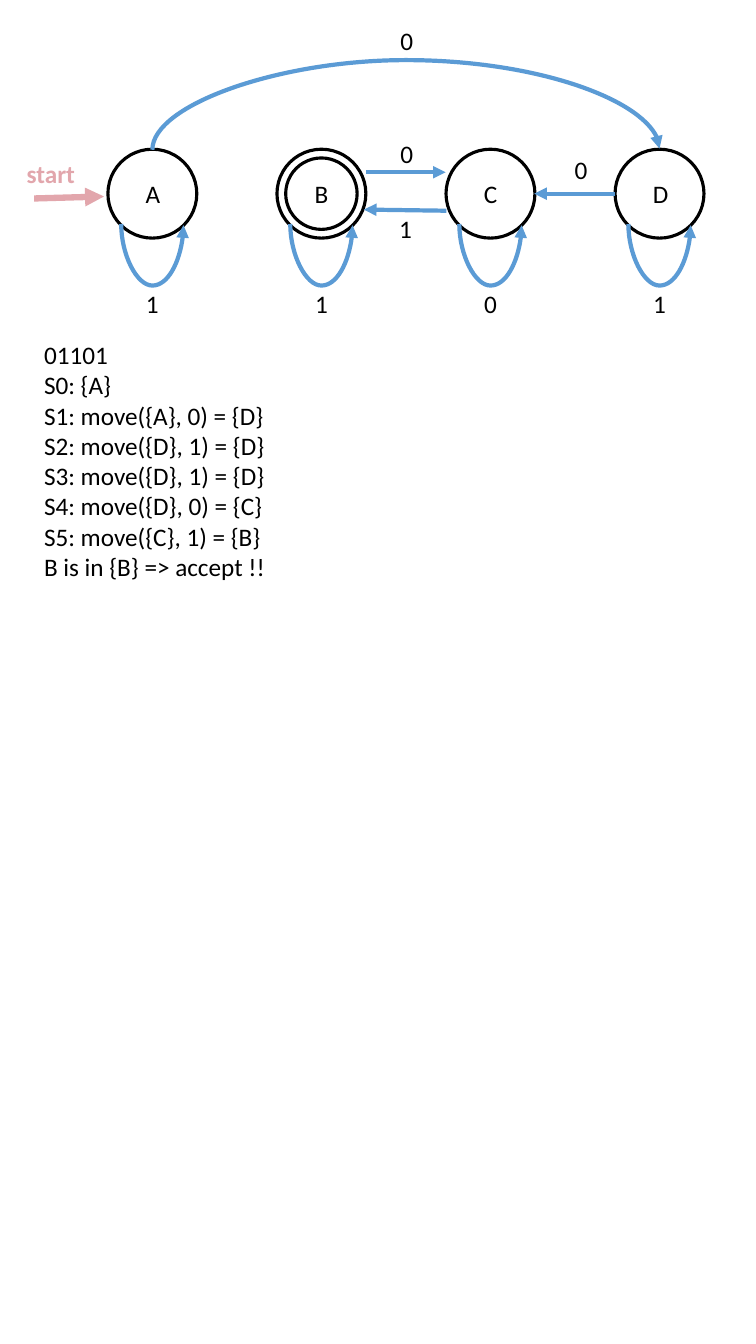
"""Draw a four-state automaton and the trace of one input word."""
from dataclasses import dataclass
from typing import NamedTuple

from pptx import Presentation
from pptx import util as u
from pptx.dml import color
from pptx.enum import shapes, text
from pptx.oxml import ns, xmlchemy

Cm = u.Cm


@dataclass(frozen=True)
class Theme:
    """Colours, font and line weights of the slide."""
    ink: color.RGBColor = color.RGBColor(0, 0, 0)
    edge: color.RGBColor = color.RGBColor(0x5B, 0x9B, 0xD5)
    start: color.RGBColor = color.RGBColor(0xE2, 0xA6, 0xAC)
    font: str = "Calibri"
    size: u.Pt = u.Pt(18)
    ring: u.Pt = u.Pt(2.25)
    thin: u.Pt = u.Pt(3)
    thick: u.Pt = u.Pt(4.5)


class State(NamedTuple):
    """A state, the symbol of its loop, and whether it accepts."""
    name: str
    loop: str
    final: bool = False


class Edge(NamedTuple):
    """A straight move: its ends and its label's centre, in cm."""
    sign: str
    tail: tuple[float, float]
    head: tuple[float, float]
    label: tuple[float, float]


class Bow(NamedTuple):
    """The turn and flips that set which way a curve bulges."""
    turn: int
    flips: tuple[str, ...]


THEME = Theme()
UP = Bow(90, ("flipH", "flipV"))
DOWN = Bow(270, ("flipH",))

FIRST, PITCH, MID = 3.84, 4.26, 4.88   # state centres
OUTER, INNER = 2.24, 1.8               # ring widths
SPAN, DEPTH, LOOP_Y = 1.57, 1.55, 5.66
ARC_DEPTH = 2.26
RISE = 0.03                            # height gap between a curve's ends

STATES = [State("A", "1"), State("B", "1", True), State("C", "0"), State("D", "1")]
EDGES = [
    Edge("0", (9.22, 4.34), (11.23, 4.34), (10.25, 3.86)),
    Edge("1", (11.25, 5.31), (9.17, 5.28), (10.22, 5.77)),
    Edge("0", (15.49, MID), (13.46, MID), (14.64, 4.27)),
]
TRACE = [
    "01101",
    "S0: {A}",
    "S1: move({A}, 0) = {D}",
    "S2: move({D}, 1) = {D}",
    "S3: move({D}, 1) = {D}",
    "S4: move({D}, 0) = {C}",
    "S5: move({C}, 1) = {B}",
    "B is in {B} => accept !!",
]


def add_run(para, words: str, tint=THEME.ink, bold: bool = False) -> None:
    """Add one styled run to a paragraph."""
    run = para.add_run()
    run.text = words
    run.font.name, run.font.size = THEME.font, THEME.size
    run.font.color.rgb, run.font.bold = tint, bold


def add_label(canvas, words: str, x: float, y: float, width: float = 0.84,
              tint=THEME.ink, bold: bool = False) -> None:
    """Place a one-line label centred on a point."""
    high = 1.02
    box = canvas.add_textbox(Cm(x - width / 2), Cm(y - high / 2), Cm(width), Cm(high))
    box.text_frame.word_wrap = False
    para = box.text_frame.paragraphs[0]
    para.alignment = text.PP_ALIGN.CENTER
    add_run(para, words, tint, bold)


def add_ring(canvas, x: float, y: float, width: float) -> None:
    """Draw an unfilled circle around a point."""
    ring = canvas.add_shape(shapes.MSO_SHAPE.OVAL, Cm(x - width / 2),
                            Cm(y - width / 2), Cm(width), Cm(width))
    ring.shadow.inherit = False
    ring.fill.background()
    ring.line.color.rgb, ring.line.width = THEME.ink, THEME.ring


def add_state(canvas, state: State, x: float) -> None:
    """Draw a state as a group of its rings and name."""
    group = canvas.add_group_shape().shapes
    for width in (OUTER, INNER) if state.final else (OUTER,):
        add_ring(group, x, MID, width)
    add_label(group, state.name, x, MID)


def add_arrow(canvas, tail: tuple[float, float], head: tuple[float, float],
              kind=shapes.MSO_CONNECTOR.STRAIGHT, tint=THEME.edge, weight=THEME.thin):
    """Draw a connector with a triangle at its head."""
    arrow = canvas.add_connector(kind, *map(Cm, tail + head))
    arrow.line.color.rgb, arrow.line.width = tint, weight
    props = arrow._element.spPr
    tip = xmlchemy.OxmlElement("a:tailEnd")
    tip.set("type", "triangle")
    props.get_or_add_ln().append(tip)
    props.append(xmlchemy.OxmlElement("a:effectLst"))
    return arrow


def add_curve(canvas, x: float, y: float, span: float, depth: float, bow: Bow) -> None:
    """Draw a curved arrow to the right, bulging by depth, centred on a point."""
    arrow = add_arrow(canvas, (x - RISE / 2, y - span / 2),
                      (x + RISE / 2, y + span / 2), shapes.MSO_CONNECTOR.CURVE)
    props = arrow._element.spPr
    props.xfrm.set("rot", str(bow.turn * 60000))
    for flip in bow.flips:
        props.xfrm.set(flip, "1")
    guide = xmlchemy.OxmlElement("a:gd")
    guide.set("name", "adj1")
    guide.set("fmla", f"val {round(depth / RISE * 100000)}")
    props.find(ns.qn("a:prstGeom")).get_or_add_avLst().append(guide)


def add_trace(canvas) -> None:
    """Write the steps of the run, one paragraph each."""
    box = canvas.add_textbox(Cm(0.86), Cm(8.43), Cm(17.35), Cm(6.4))
    frame = box.text_frame
    frame.word_wrap = True
    for i, step in enumerate(TRACE):
        add_run(frame.add_paragraph() if i else frame.paragraphs[0], step)


def main() -> None:
    """Build and save the slide."""
    deck = Presentation()
    deck.slide_width, deck.slide_height = Cm(19.05), Cm(33.86)
    canvas = deck.slides.add_slide(deck.slide_layouts[6]).shapes

    for i, state in enumerate(STATES):
        x = FIRST + i * PITCH
        add_state(canvas, state, x)
        add_curve(canvas, x, LOOP_Y, SPAN, DEPTH, DOWN)
        add_label(canvas, state.loop, x, 7.65)

    for edge in EDGES:
        add_arrow(canvas, edge.tail, edge.head)
        add_label(canvas, edge.sign, *edge.label)

    width = PITCH * (len(STATES) - 1)
    add_curve(canvas, FIRST + width / 2, MID - OUTER / 2, width, ARC_DEPTH, UP)
    add_label(canvas, "0", 10.25, 1.02)

    start = canvas.add_group_shape().shapes
    add_arrow(start, (0.86, 5.0), (2.62, 4.95), tint=THEME.start, weight=THEME.thick)
    add_label(start, "start", 1.28, 4.37, 1.75, THEME.start, True)

    add_trace(canvas)
    deck.save("out.pptx")


main()
